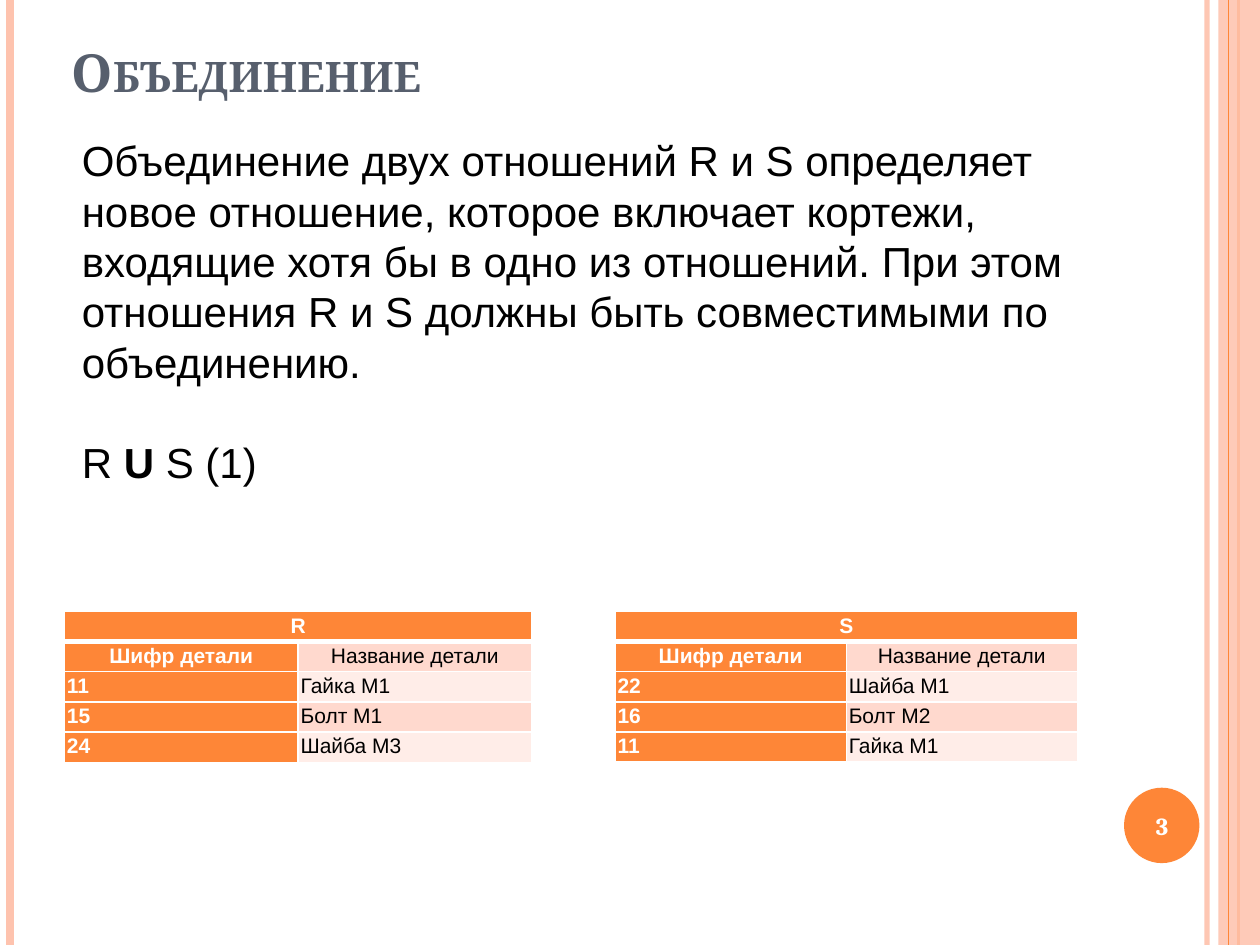
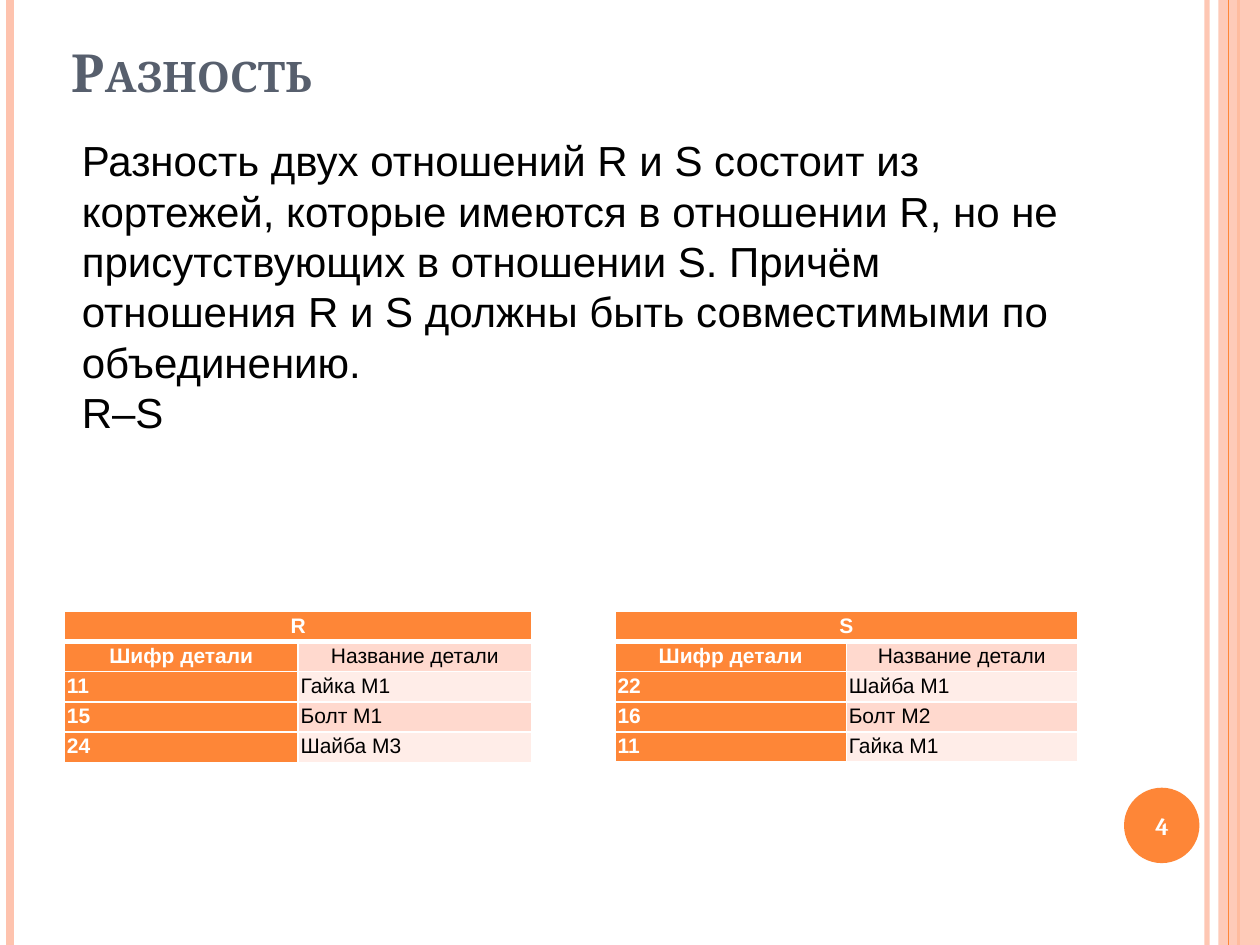
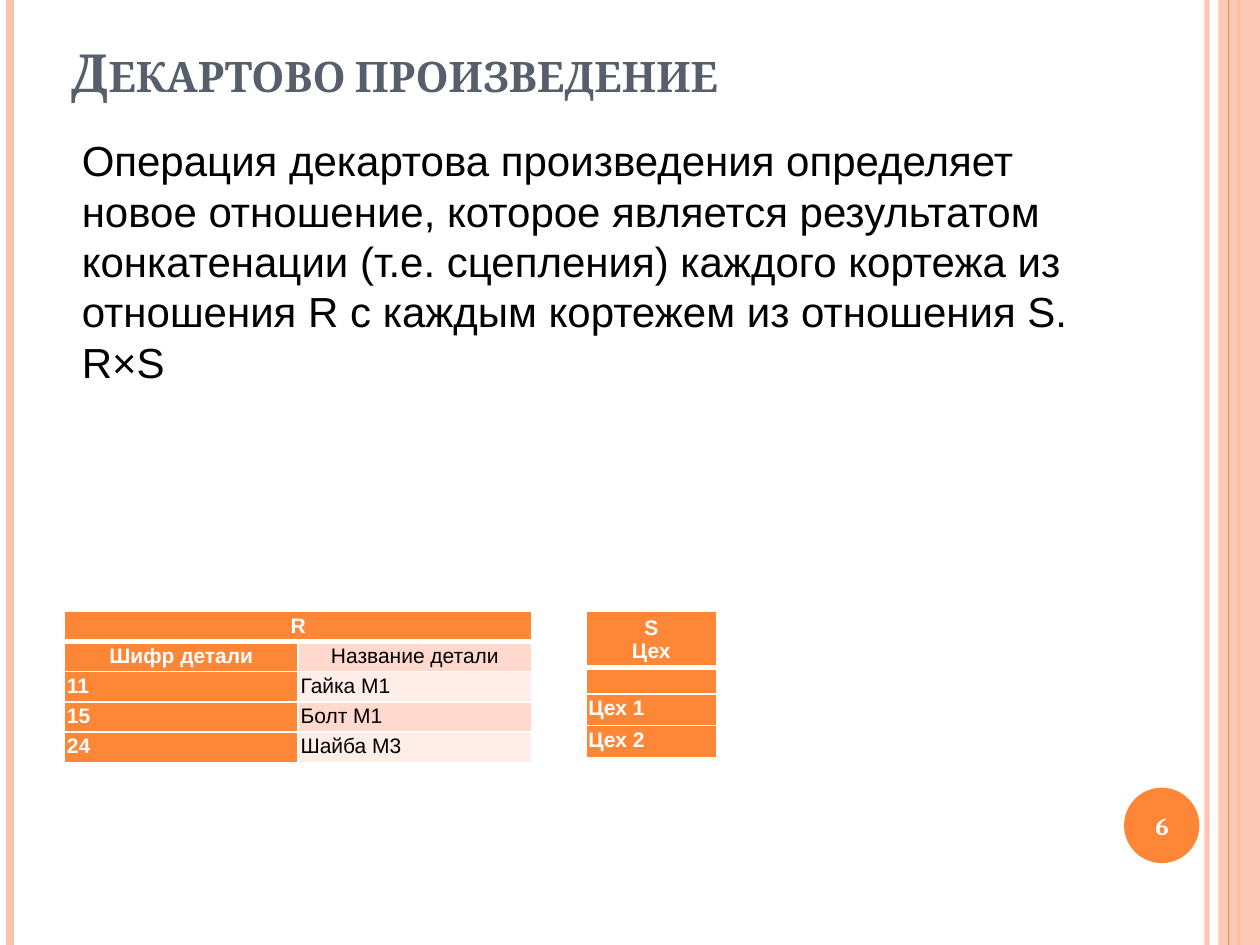
from dataclasses import dataclass

from lxml.etree import SubElement
from pptx import Presentation
from pptx.dml.color import RGBColor
from pptx.enum.shapes import MSO_CONNECTOR, MSO_SHAPE
from pptx.enum.text import MSO_ANCHOR as Anchor, PP_ALIGN as Align
from pptx.oxml.ns import qn
from pptx.util import Cm, Pt


@dataclass(frozen=True)
class Theme:
    accent: str = "FE8637"
    pale: str = "FEC3AE"
    heading: str = "575F6D"
    ink: str = "000000"
    paper: str = "FFFFFF"
    bands: tuple = ("FFEDE8", "FFD9CE")
    serif: str = "Cambria"
    sans: str = "Arial"
    title_size: float = 30
    body_size: float = 24
    number_size: float = 14
    cell_size: float = 12
    empty_size: float = 10
    line_gap: float = 28.7
    width: float = 25.4
    height: float = 19.05


def set_alpha(properties, percent):
    """Make every solid colour under the given shape properties translucent."""
    for color in properties.iter(qn("a:srgbClr")):
        SubElement(color, qn("a:alpha"), val=str(percent * 1000))


class SlideWriter:
    def __init__(self, theme):
        self.theme = theme
        self.deck = Presentation()
        self.deck.slide_width = Cm(theme.width)
        self.deck.slide_height = Cm(theme.height)
        self.page = None

    def new_page(self, title, number):
        theme = self.theme
        self.page = self.deck.slides.add_slide(self.deck.slide_layouts[6])
        self.stripe(24.33, theme.pale, 3, alpha=93)
        self.stripe(0.21, theme.pale, 4.5)
        self.stripe(24.97, theme.accent, 1.5)
        self.shape(MSO_SHAPE.RECTANGLE, 24.56, 0, 0.84, theme.height, theme.pale, alpha=87)
        self.stripe(24.77, theme.accent, 0.75)
        self.shape(MSO_SHAPE.OVAL, 22.66, 15.88, 1.52, 1.52, theme.accent)

        para = self.text_box(1.19, 0, 20.75, 2.21, Anchor.BOTTOM).paragraphs[0]
        span = self.span(para, title, theme.title_size, theme.heading, theme.serif, True)
        span.font._element.set("cap", "small")

        para = self.text_box(22.58, 15.93, 1.7, 1.45, Anchor.MIDDLE).paragraphs[0]
        para.alignment = Align.CENTER
        self.span(para, str(number), theme.number_size, theme.paper, theme.serif, True)

    def stripe(self, x, color, weight, alpha=None):
        line = self.page.shapes.add_connector(
            MSO_CONNECTOR.STRAIGHT, Cm(x), Cm(0), Cm(x), Cm(self.theme.height))
        line.line.color.rgb = RGBColor.from_string(color)
        line.line.width = Pt(weight)
        properties = line._element.spPr
        SubElement(properties, qn("a:effectLst"))
        if alpha:
            set_alpha(properties, alpha)

    def shape(self, kind, left, top, width, height, color, alpha=None):
        shape = self.page.shapes.add_shape(kind, Cm(left), Cm(top), Cm(width), Cm(height))
        shape.shadow.inherit = False
        shape.fill.solid()
        shape.fill.fore_color.rgb = RGBColor.from_string(color)
        shape.line.fill.background()
        if alpha:
            set_alpha(shape._element.spPr, alpha)

    def text_box(self, left, top, width, height, anchor=Anchor.TOP):
        box = self.page.shapes.add_textbox(Cm(left), Cm(top), Cm(width), Cm(height))
        frame = box.text_frame
        frame.word_wrap = True
        frame.vertical_anchor = anchor
        return frame

    def span(self, para, text, size, color, face, bold=False):
        span = para.add_run()
        span.text = text
        span.font.size = Pt(size)
        span.font.name = face
        span.font.bold = bold
        span.font.color.rgb = RGBColor.from_string(color)
        return span

    def body(self, definition, formula, width=20.32, gap=0):
        """Write a definition, then a formula given as (text, bold) pairs."""
        theme = self.theme
        frame = self.text_box(1.4, 2.59, width, 8.74)
        self.span(frame.paragraphs[0], definition, theme.body_size, theme.ink, theme.sans)
        para = frame.add_paragraph()
        para.space_before = Pt(gap)
        for text, bold in formula:
            self.span(para, text, theme.body_size, theme.ink, theme.sans, bold)

    def table(self, left, column_width, row_heights, rows):
        """Draw a relation; its first row is a caption across all columns."""
        columns = len(rows[-1])
        frame = self.page.shapes.add_table(
            len(rows), columns, Cm(left), Cm(12.32),
            Cm(column_width * columns), Cm(sum(row_heights)))
        table = frame.table
        table.first_row = table.horz_banding = False
        for column in table.columns:
            column.width = Cm(column_width)
        for row, height in zip(table.rows, row_heights):
            row.height = Cm(height)
        if columns > 1:
            table.cell(0, 0).merge(table.cell(0, columns - 1))
        for r in range(len(rows)):
            for c in range(columns):
                text = rows[r][c] if c < len(rows[r]) else ""
                self.cell(table.cell(r, c), text, r, c)

    def cell(self, cell, text, row, column):
        theme = self.theme
        key = row == 0 or column == 0
        heading = row < 2
        cell.margin_left = cell.margin_right = Cm(0.05)
        cell.margin_top = cell.margin_bottom = Cm(0.05)
        cell.vertical_anchor = Anchor.MIDDLE if heading else Anchor.TOP
        self.borders(cell, top=3 if row == 1 else 1, bottom=3 if row == 0 else 1)
        cell.fill.solid()
        cell.fill.fore_color.rgb = RGBColor.from_string(
            theme.accent if key else theme.bands[row % 2])
        frame = cell.text_frame
        for index, line in enumerate(text.split("\n")):
            para = frame.add_paragraph() if index else frame.paragraphs[0]
            para.alignment = Align.CENTER if heading else Align.LEFT
            if line:
                self.span(para, line, theme.cell_size,
                          theme.paper if key else theme.ink, theme.sans, key)
            else:
                SubElement(para._p, qn("a:endParaRPr"), sz=str(theme.empty_size * 100))

    def borders(self, cell, top, bottom):
        properties = cell._tc.get_or_add_tcPr()
        for side, weight in (("L", 1), ("R", 1), ("T", top), ("B", bottom)):
            line = SubElement(properties, qn(f"a:ln{side}"), w=str(Pt(weight)))
            fill = SubElement(line, qn("a:solidFill"))
            SubElement(fill, qn("a:srgbClr"), val=self.theme.paper)


COLUMN_NAMES = ("Шифр детали", "Название детали")
PARTS_R = [("R",), COLUMN_NAMES, ("11", "Гайка M1"), ("15", "Болт М1"), ("24", "Шайба М3")]
PARTS_S = [("S",), COLUMN_NAMES, ("22", "Шайба М1"), ("16", "Болт М2"), ("11", "Гайка M1")]
SHOPS_S = [("S\nЦех",), ("",), ("Цех 1",), ("Цех 2",)]


def add_relation_r(writer):
    writer.table(1.3, 4.71, [0.57] + [0.61] * 4, PARTS_R)


def add_relation_s(writer):
    writer.table(12.4, 4.66, [0.57] * 5, PARTS_S)


def main():
    theme = Theme()
    writer = SlideWriter(theme)

    writer.new_page("Объединение", 3)
    writer.body(
        "Объединение двух отношений R и S определяет новое отношение, которое включает "
        "кортежи, входящие хотя бы в одно из отношений. При этом отношения R и S должны "
        "быть совместимыми по объединению.",
        [("R ", False), ("U ", True), ("S (1)", False)], gap=theme.line_gap)
    add_relation_r(writer)
    add_relation_s(writer)

    writer.new_page("Разность", 4)
    writer.body(
        "Разность двух отношений R и S состоит из кортежей, которые имеются в отношении R, "
        "но не присутствующих в отношении S. Причём отношения R и S должны быть "
        "совместимыми по объединению.",
        [("R–S", False)])
    add_relation_r(writer)
    add_relation_s(writer)

    writer.new_page("Декартово произведение", 6)
    writer.body(
        "Операция декартова произведения определяет новое отношение, которое является "
        "результатом конкатенации (т.е. сцепления) каждого кортежа из отношения R с каждым "
        "кортежем из отношения S.",
        [("R×S", False)], width=20.7)
    add_relation_r(writer)
    writer.table(11.81, 2.64, [1.14, 0.53, 0.64, 0.64], SHOPS_S)

    writer.deck.save("out.pptx")


if __name__ == "__main__":
    main()
